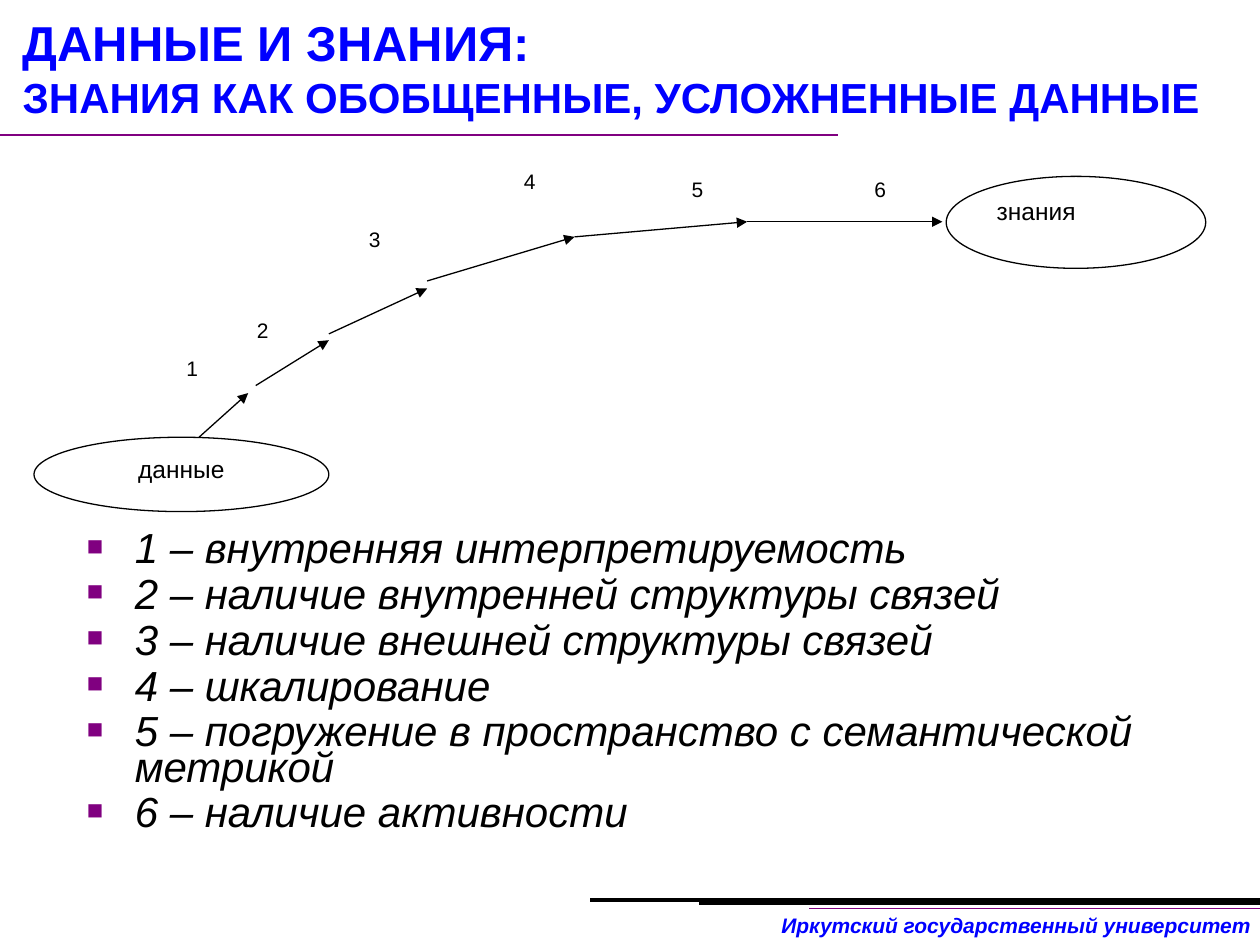
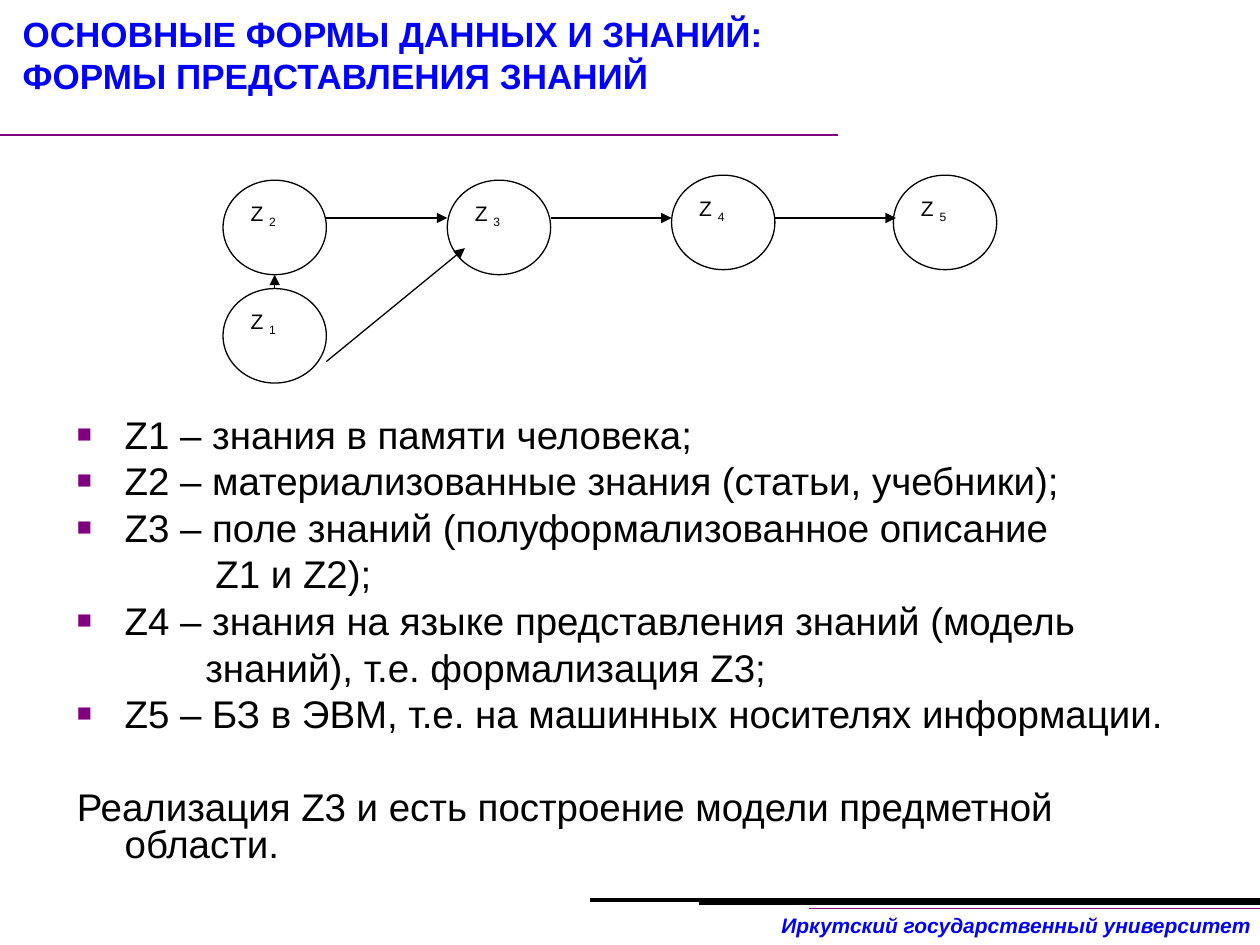
import dataclasses

import lxml.etree
import pptx
import pptx.dml.color
import pptx.enum.shapes
import pptx.enum.text
import pptx.oxml.ns
import pptx.util

Inches = pptx.util.Inches
Pt = pptx.util.Pt
RGB = pptx.dml.color.RGBColor
ALIGN = pptx.enum.text.PP_ALIGN
qn = pptx.oxml.ns.qn


@dataclasses.dataclass(frozen=True)
class Theme:
    font: str = "Arial"
    blue: RGB = RGB(0x00, 0x00, 0xFF)
    purple: RGB = RGB(0x80, 0x00, 0x80)
    black: RGB = RGB(0x00, 0x00, 0x00)
    white: RGB = RGB(0xFF, 0xFF, 0xFF)
    small: int = 12
    node: int = 14
    thin: float = 0.75


theme = Theme()


def write(paragraph, text, size=theme.small, color=theme.black, bold=False,
          italic=False, align=ALIGN.LEFT, subscript=False):
    """Add a run of text to the paragraph."""
    paragraph.alignment = align
    run = paragraph.add_run()
    run.text = text
    run.font.name = theme.font
    run.font.size = Pt(size)
    run.font.color.rgb = color
    run.font.bold = bold
    run.font.italic = italic
    if subscript:
        run._r.get_or_add_rPr().set("baseline", "-25000")


def draw_line(slide, start, end, color=theme.black, width=theme.thin, arrow=False):
    """Draw a straight line, with an arrowhead at its end if asked."""
    line = slide.shapes.add_connector(
        pptx.enum.shapes.MSO_CONNECTOR.STRAIGHT,
        *(Inches(value) for value in (*start, *end)))
    line.line.color.rgb = color
    line.line.width = Pt(width)
    if arrow:
        outline = line.line._get_or_add_ln()
        lxml.etree.SubElement(outline, qn("a:tailEnd"), type="triangle")
    lxml.etree.SubElement(line._element.spPr, qn("a:effectLst"))


deck = pptx.Presentation()
deck.slide_width, deck.slide_height = Inches(10), Inches(7.5)
properties_slide = deck.slides.add_slide(deck.slide_layouts[1])
forms_slide = deck.slides.add_slide(deck.slide_layouts[1])

# Footer and rules on every slide
rules = [
    ((10.04, 7.21), (6.42, 7.21), theme.purple, 1),
    ((10.04, 7.17), (5.55, 7.17), theme.black, 1.5),
    ((10.04, 7.14), (4.68, 7.14), theme.black, 2.25),
    ((-0.04, 1.07), (6.65, 1.07), theme.purple, 1),
]
for slide in deck.slides:
    university = slide.shapes.add_textbox(
        Inches(6.08), Inches(7.19), Inches(3.95), Inches(0.3))
    university.text_frame.word_wrap = False
    write(university.text_frame.paragraphs[0], "Иркутский государственный университет",
          color=theme.blue, bold=True, italic=True, align=ALIGN.RIGHT)
    for start, end, color, width in rules:
        draw_line(slide, start, end, color, width)

# Titles: two lines, each with its size
titles = [
    (properties_slide, [("ДАННЫЕ И ЗНАНИЯ:", 28),
                        ("ЗНАНИЯ КАК ОБОБЩЕННЫЕ, УСЛОЖНЕННЫЕ ДАННЫЕ", 24)]),
    (forms_slide, [("ОСНОВНЫЕ ФОРМЫ ДАННЫХ И ЗНАНИЙ:", 20),
                   ("ФОРМЫ ПРЕДСТАВЛЕНИЯ ЗНАНИЙ", 20)]),
]
for slide, lines in titles:
    title = slide.shapes.title
    title.left, title.top = Inches(0.08), Inches(0.05)
    title.width, title.height = Inches(9.96), Inches(0.61)
    frame = title.text_frame
    frame.auto_size = pptx.enum.text.MSO_AUTO_SIZE.NONE
    frame.vertical_anchor = pptx.enum.text.MSO_ANCHOR.TOP
    heading = frame.paragraphs[0]
    for number, (text, size) in enumerate(lines):
        if number:
            heading.add_line_break()
        write(heading, text, size, theme.blue, bold=True)

# Lists: text, bullet, left margin, first-line indent, space before
HANG = 0.38
properties = [
    "1 – внутренняя интерпретируемость",
    "2 – наличие внутренней структуры связей",
    "3 – наличие внешней структуры связей",
    "4 – шкалирование",
    "5 – погружение в пространство с семантической метрикой",
    "6 – наличие активности",
]
property_items = [(text, True, HANG, -HANG, 6) for text in properties]
form_items = [
    ("Z1 – знания в памяти человека;", True, HANG, -HANG, 5.5),
    ("Z2 – материализованные знания (статьи, учебники);", True, HANG, -HANG, 5.5),
    ("Z3 – поле знаний (полуформализованное описание", True, HANG, -HANG, 5.5),
    ("Z1 и Z2);", False, 1.1, 0, 5.5),
    ("Z4 – знания на языке представления знаний (модель", True, HANG, -HANG, 5.5),
    ("знаний), т.е. формализация Z3;", False, 1.02, 0, 5.5),
    ("Z5 – БЗ в ЭВМ, т.е. на машинных носителях информации.", True, HANG, -HANG, 5.5),
    ("Реализация Z3 и есть построение модели предметной области.",
     False, HANG, -HANG, 32),
]
lists = [
    (properties_slide, property_items, (0.59, 4.2, 9, 2.7), 24, True, 0.7),
    (forms_slide, form_items, (0.51, 3.28, 9, 3.7), 22, False, 0.8),
]
for slide, items, box, size, italic, spacing in lists:
    body = slide.placeholders[1]
    body.left, body.top, body.width, body.height = (Inches(value) for value in box)
    frame = body.text_frame
    frame.auto_size = pptx.enum.text.MSO_AUTO_SIZE.NONE
    for number, (text, bullet, margin, indent, before) in enumerate(items):
        item = frame.add_paragraph() if number else frame.paragraphs[0]
        item.line_spacing = spacing
        item.space_before = Pt(before if number else 0)
        layout = item._p.get_or_add_pPr()
        layout.set("marL", str(Inches(margin)))
        layout.set("indent", str(Inches(indent)))
        if bullet:
            bullet_color = lxml.etree.SubElement(layout, qn("a:buClr"))
            lxml.etree.SubElement(bullet_color, qn("a:srgbClr"), val=str(theme.purple))
            lxml.etree.SubElement(layout, qn("a:buSzPct"), val="65000")
            lxml.etree.SubElement(layout, qn("a:buFont"), typeface=theme.font)
            lxml.etree.SubElement(layout, qn("a:buChar"), char="■")
        else:
            lxml.etree.SubElement(layout, qn("a:buNone"))
        write(item, text, size, italic=italic)

# Diagram nodes: slide, text, subscript, place, size, alignment
nodes = [
    (properties_slide, "данные", "", (0.27, 3.47, 2.34, 0.59), theme.node, ALIGN.CENTER),
    (properties_slide, "знания", "", (7.51, 1.4, 2.06, 0.73), theme.node, ALIGN.LEFT),
]
form_places = [(1.77, 2.29), (1.77, 1.43), (3.55, 1.43), (5.33, 1.39), (7.09, 1.39)]
for number, place in enumerate(form_places, start=1):
    nodes.append((forms_slide, "Z ", str(number), (*place, 0.82, 0.75),
                  theme.small, ALIGN.LEFT))
for slide, text, index, box, size, align in nodes:
    node = slide.shapes.add_shape(pptx.enum.shapes.MSO_SHAPE.OVAL,
                                  *(Inches(value) for value in box))
    node.shadow.inherit = False
    node.fill.solid()
    node.fill.fore_color.rgb = theme.white
    node.line.color.rgb = theme.black
    node.line.width = Pt(theme.thin)
    node.text_frame.word_wrap = True
    node.text_frame.vertical_anchor = pptx.enum.text.MSO_ANCHOR.TOP
    caption = node.text_frame.paragraphs[0]
    write(caption, text, size, align=align)
    if index:
        write(caption, index, size, align=align, subscript=True)

# Steps from data to knowledge
steps = [
    ((1.58, 3.47), (1.97, 3.12), (1.38, 2.77)),
    ((2.03, 3.06), (2.61, 2.7), (1.94, 2.47)),
    ((2.61, 2.65), (3.39, 2.29), (2.83, 1.75)),
    ((3.39, 2.23), (4.56, 1.88), (4.06, 1.29)),
    ((4.56, 1.88), (5.93, 1.76), (5.39, 1.35)),
    ((5.93, 1.76), (7.48, 1.76), (6.84, 1.35)),
]
for number, (start, end, (left, top)) in enumerate(steps, start=1):
    draw_line(properties_slide, start, end, arrow=True)
    step_number = properties_slide.shapes.add_textbox(
        Inches(left), Inches(top), Inches(0.58), Inches(0.36))
    step_number.text_frame.word_wrap = True
    write(step_number.text_frame.paragraphs[0], str(number))

# Transitions between forms of knowledge
transitions = [((left, 1.73), (left + 0.96, 1.73)) for left in (2.59, 4.37, 6.15)]
transitions += [((2.18, 2.29), (2.18, 2.18)), ((2.59, 2.87), (3.69, 1.97))]
for start, end in transitions:
    draw_line(forms_slide, start, end, arrow=True)

deck.save("out.pptx")
